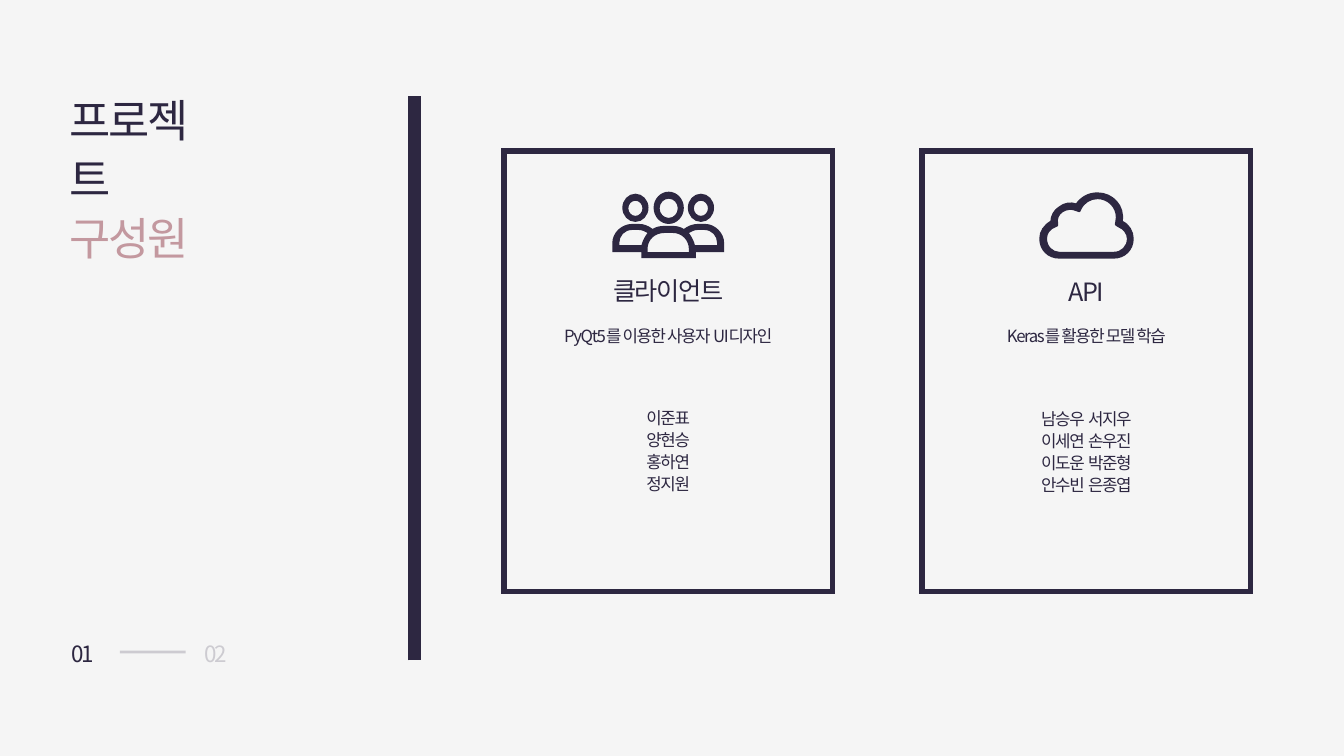
from lxml.etree import SubElement
from pptx import Presentation
from pptx.dml.color import RGBColor
from pptx.enum.shapes import MSO_CONNECTOR, MSO_SHAPE
from pptx.enum.text import MSO_ANCHOR, MSO_AUTO_SIZE, PP_ALIGN
from pptx.oxml.ns import qn
from pptx.util import Cm, Pt

COLORS = {"paper": "F5F5F5", "ink": "2D2741", "rose": "C3989F"}
FONT = "Noto Sans CJK KR"
CARD_WIDTH, CARD_HEIGHT = Cm(8.28), Cm(11.1)
ICON_UNIT = Cm(0.0254)
FINE = 10  # freeform points are whole numbers, so icons use tenths of a unit

# An outline is a list of points; six numbers stand for a Bézier curve.
SIDE_BODY_HOLE = [(29, 53), (7, 53), (7, 51), (7, 44, 12, 38, 20, 38), (26, 38),
                  (30, 38, 33, 40, 35, 41), (32, 45, 30, 49, 29, 53)]
PEOPLE_WIDTH = 111
BODIES = [
    [(92, 32), (85, 32), (80, 32, 75, 34, 71, 37), (68, 35, 64, 34, 60, 34), (52, 34),
     (47, 34, 43, 35, 40, 37), (36, 34, 32, 32, 26, 32), (20, 32), (9, 32, 0, 41, 0, 51),
     (0, 60), (29, 60), (29, 66), (83, 66), (83, 60), (111, 60), (111, 51),
     (111, 41, 102, 32, 92, 32)],
    SIDE_BODY_HOLE,
    [tuple(PEOPLE_WIDTH - value if place % 2 == 0 else value
           for place, value in enumerate(step)) for step in SIDE_BODY_HOLE],
    [(76, 60), (35, 60), (35, 57), (35, 48, 42, 41, 52, 41), (60, 41),
     (69, 41, 76, 48, 76, 57)],
]
CLOUD_WIDTH = 92
CLOUD = [
    [(81, 28), (84, 13, 72, 0, 57, 0), (48, 0, 41, 4, 36, 11), (30, 9, 24, 10, 19, 14),
     (14, 17, 11, 23, 11, 28), (4, 32, 0, 38, 0, 45), (0, 56, 8, 64, 19, 64), (73, 64),
     (84, 64, 92, 56, 92, 45), (92, 38, 88, 31, 81, 28)],
    [(73, 59), (19, 59), (12, 59, 6, 53, 6, 45), (6, 40, 9, 35, 15, 33), (17, 32), (17, 30),
     (16, 25, 18, 21, 22, 18), (27, 15, 32, 15, 36, 17), (39, 18), (40, 16),
     (43, 9, 50, 5, 57, 5), (67, 5, 76, 13, 76, 24), (76, 27, 75, 29, 75, 31),
     (77, 32, 77, 33, 78, 33), (83, 35, 87, 40, 87, 45), (87, 53, 81, 59, 73, 59)],
]


def color(name):
    return RGBColor.from_string(COLORS[name])


def fade(element):
    """Make every colour inside the element 20 % opaque."""
    for tint in list(element.iter(qn("a:srgbClr"))):
        SubElement(tint, qn("a:alpha")).set("val", "20000")


def ellipse(center_x, center_y, radius_x, radius_y):
    left, right = center_x - radius_x, center_x + radius_x
    top, bottom = center_y - radius_y, center_y + radius_y
    bend_x, bend_y = 0.55 * radius_x, 0.55 * radius_y
    return [(center_x, top),
            (center_x - bend_x, top, left, center_y - bend_y, left, center_y),
            (left, center_y + bend_y, center_x - bend_x, bottom, center_x, bottom),
            (center_x + bend_x, bottom, right, center_y + bend_y, right, center_y),
            (right, center_y - bend_y, center_x + bend_x, top, center_x, top)]


def draw_curves(part, outlines):
    """Swap the straight edges of a freeform for the curves of its outlines."""
    origin = [min(step[axis - 2] for outline in outlines for step in outline) for axis in (0, 1)]
    route = next(part._element.iter(qn("a:path")))
    for edge in list(route):
        route.remove(edge)
    for outline in outlines:
        for index, step in enumerate(outline):
            kind = "cubicBezTo" if len(step) == 6 else "lnTo" if index else "moveTo"
            edge = SubElement(route, qn(f"a:{kind}"))
            for x, y in zip(step[::2], step[1::2]):
                point = SubElement(edge, qn("a:pt"))
                point.set("x", str(round((x - origin[0]) * FINE)))
                point.set("y", str(round((y - origin[1]) * FINE)))
        SubElement(route, qn("a:close"))


def add_icon_part(page, left, top, outlines, line_width=None):
    corners = [(x * FINE, y * FINE) for outline in outlines for *_, x, y in outline]
    builder = page.shapes.build_freeform(*corners[0], scale=ICON_UNIT / FINE)
    builder.add_line_segments(corners[1:])
    part = builder.convert_to_shape(left, top)
    draw_curves(part, outlines)
    part.shadow.inherit = False
    part.fill.solid()
    part.fill.fore_color.rgb = color("ink")
    if line_width:
        part.line.color.rgb = color("ink")
        part.line.width = line_width
    else:
        part.line.fill.background()


def add_people(page, center, top):
    left = center - PEOPLE_WIDTH * ICON_UNIT // 2
    add_icon_part(page, left, top, [ellipse(56, 16, 15, 16), ellipse(56, 16.5, 9, 9.5)])
    for head_x in (23, 88):
        add_icon_part(page, left, top, [ellipse(head_x, 16, 13, 14),
                                        ellipse(head_x, 16.5, 7, 7.5)])
    add_icon_part(page, left, top, BODIES)


def add_cloud(page, center, top):
    left = center - CLOUD_WIDTH * ICON_UNIT // 2
    add_icon_part(page, left, top + Cm(0.04), CLOUD, Pt(1.25))


def place(box, left, top, width, height):
    box.left, box.top, box.width, box.height = left, top, width, height


def write(box, lines, size, tint="ink", align=PP_ALIGN.LEFT, leading=1.1, spacing=-1, wrap=False):
    frame = box.text_frame
    frame.text = "\n".join(lines)
    frame.word_wrap = wrap
    frame.auto_size = MSO_AUTO_SIZE.NONE
    frame.vertical_anchor = MSO_ANCHOR.TOP
    for para in frame.paragraphs:
        para.alignment = align
        para.line_spacing = leading
        para.space_before = Pt(0)
        for span in para.runs:
            span.font.size = Pt(size)
            span.font.name = FONT
            span.font.color.rgb = color(tint)
            properties = span.font._element
            properties.set("spc", str(int(spacing * 100)))
            properties.set("kern", "0")
            SubElement(properties, qn("a:ea")).set("typeface", FONT)


def add_text(page, left, top, width, height, lines, size, **style):
    box = page.shapes.add_textbox(left, top, width, height)
    write(box, lines, size, **style)
    return box


def add_rule(page, start, end, width):
    rule = page.shapes.add_connector(MSO_CONNECTOR.STRAIGHT, *start, *end)
    rule.line.color.rgb = color("ink")
    rule.line.width = width
    SubElement(rule._element.spPr, qn("a:effectLst"))
    return rule


def add_sidebar(page, left, top):
    title = page.shapes.title
    place(title, left, top, Cm(3.96), Cm(3.28))
    write(title, ["프로젝트", "구성원"], 32, spacing=-1.5, wrap=True)
    title.text_frame.paragraphs[1].runs[0].font.color.rgb = color("rose")
    add_rule(page, (left + Cm(8.94), top + Cm(14.57)), (left + Cm(8.94), top + Cm(0.35)), Pt(9.5))

    pager_top, pager_middle = top + Cm(13.86), top + Cm(14.36)
    add_text(page, left + Cm(0.05), pager_top, Cm(1.24), Cm(1), ["01"], 16, spacing=-1.5)
    dash = add_rule(page, (left + Cm(1.52), pager_middle), (left + Cm(3.18), pager_middle), Pt(2))
    following = add_text(page, left + Cm(3.4), pager_top, Cm(1.24), Cm(1), ["02"], 16, spacing=-1.5)
    fade(dash._element)
    fade(following._element)


def add_card(page, left, top, add_icon, heading, task, members, member_box, member_width, drop):
    """Draw one team card; drop lowers its heading and its member list."""
    frame = page.shapes.add_shape(MSO_SHAPE.RECTANGLE, left, top, CARD_WIDTH, CARD_HEIGHT)
    frame.shadow.inherit = False
    frame.fill.background()
    frame.line.color.rgb = color("ink")
    frame.line.width = Pt(4)
    SubElement(frame._element.spPr.find(qn("a:ln")), qn("a:miter")).set("lim", "800000")

    center = left + CARD_WIDTH // 2
    add_icon(page, center, top + Cm(1.02))
    add_text(page, center - Cm(1.94), top + Cm(2.78) + drop, Cm(3.88), Cm(1.65), [heading], 18,
             align=PP_ALIGN.CENTER, leading=1.3)
    add_text(page, center - Cm(3.82), top + Cm(4.22), Cm(7.64), Cm(1.09), [task], 12,
             align=PP_ALIGN.CENTER)
    place(member_box, center - member_width // 2, top + Cm(6.28) + drop, member_width, Cm(3.33))
    write(member_box, members, 12, align=PP_ALIGN.CENTER)
    for para in member_box.text_frame.paragraphs:
        properties = para._p.get_or_add_pPr()
        properties.set("marL", "0")
        properties.set("indent", "0")
        SubElement(properties, qn("a:buNone"))


def main():
    deck = Presentation()
    deck.slide_width, deck.slide_height = Cm(33.87), Cm(19.05)
    page = deck.slides.add_slide(deck.slide_layouts.get_by_name("Two Content"))
    page.background.fill.solid()
    page.background.fill.fore_color.rgb = color("paper")

    add_sidebar(page, Cm(1.5), Cm(2.07))
    cards = [
        (add_people, "클라이언트", "PyQt5를 이용한 사용자 UI디자인",
         ["이준표", "양현승", "홍하연", "정지원"], page.placeholders[1], Cm(2.13), Cm(0)),
        (add_cloud, "API", "Keras를 활용한 모델 학습",
         ["남승우  서지우", "이세연  손우진", "이도운  박준형", "안수빈  은종엽"],
         page.placeholders[2], Cm(3.78), Cm(0.03)),
    ]
    for index, card in enumerate(cards):
        add_card(page, Cm(12.7) + index * Cm(10.54), Cm(3.81), *card)
    deck.save("out.pptx")


if __name__ == "__main__":
    main()
